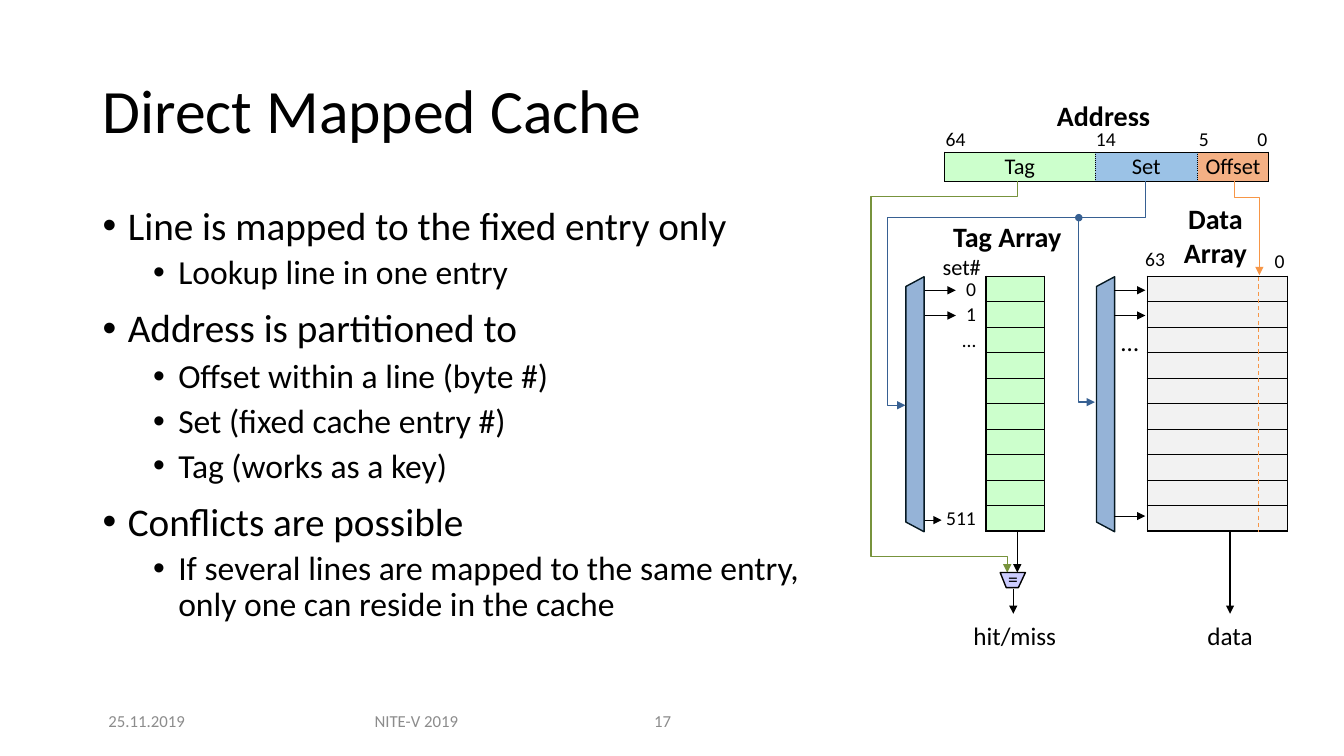
from dataclasses import dataclass
from lxml import etree
from pptx import Presentation
from pptx import util as u
from pptx.dml.color import RGBColor
from pptx.enum import dml, shapes, text
from pptx.oxml.ns import qn

FONT = "Calibri"
BLACK, WHITE, GRAY = "000000", "FFFFFF", "8C8C8C"
TAG_GREEN, SET_BLUE, OFFSET_ORANGE, DATA_GRAY = "CCFFCC", "9BC2E6", "F4B084", "F2F2F2"
TAG_WIRE, SET_WIRE, OFFSET_WIRE = "77933C", "376092", "F79646"
NO_TABLE_STYLE = "{2D5ABB26-0587-4C30-8999-92F81FD0307C}"
LEFT, CENTER, RIGHT = text.PP_ALIGN.LEFT, text.PP_ALIGN.CENTER, text.PP_ALIGN.RIGHT
TOP, MIDDLE, BOTTOM = text.MSO_ANCHOR.TOP, text.MSO_ANCHOR.MIDDLE, text.MSO_ANCHOR.BOTTOM
Point = tuple[float, float]


@dataclass
class Label:
    lines: str
    box: tuple[float, float, float, float]
    size: float
    align: text.PP_ALIGN = CENTER
    bold: bool = False
    wrap: bool = False
    color: str = BLACK
    anchor: text.MSO_ANCHOR = TOP
    spacing: float = 1.0


@dataclass
class Bullet:
    line: str
    level: int
    before: float


@dataclass
class Arrow:
    start: Point
    end: Point
    width: float = 0.75


@dataclass
class Field:
    """One part of the address: its name, table columns and colours."""
    name: str
    first: int
    last: int
    fill: str
    left: str
    right: str


@dataclass
class Decoder:
    center_x: float
    arrow_x: float
    outputs: list[tuple[float, float]]  # height of each output, length of its arrow


LABELS_BEHIND = [
    Label("Direct Mapped Cache", (0.92, 0.4, 11.5, 1.45), 44, LEFT, wrap=True, anchor=MIDDLE, spacing=0.9),
    Label("data", (11.87, 6.1, 0.66, 0.4), 18),
    Label("Address", (9.95, 0.93, 1.99, 0.44), 20, bold=True, wrap=True),
]
LABELS_FRONT = [
    Label("63", (11.26, 2.4, 0.4, 0.34), 14, LEFT),
    Label("0", (12.54, 2.42, 0.3, 0.34), 14, RIGHT),
    Label("Tag Array", (9.07, 2.13, 1.84, 0.44), 20, bold=True, wrap=True),
    Label("Data\nArray", (11.64, 1.95, 0.83, 0.77), 20, bold=True),
    Label("…", (11.02, 3.19, 0.38, 0.4), 18, LEFT),
    Label("hit/miss", (9.55, 6.11, 1.03, 0.4), 18),
    Label("=", (9.9, 5.58, 0.3, 0.34), 14, LEFT),
    Label("set#", (9.25, 2.46, 0.59, 0.37), 16, LEFT),
    Label("25.11.2019", (0.92, 6.95, 1.07, 0.4), 12, wrap=True, color=GRAY, anchor=MIDDLE),
    Label("NITE-V 2019", (3.34, 6.95, 1.58, 0.4), 12, wrap=True, color=GRAY, anchor=MIDDLE),
    Label("17", (6.39, 6.95, 0.79, 0.4), 12, LEFT, wrap=True, color=GRAY, anchor=MIDDLE),
]
BULLETS = [
    Bullet("Line is mapped to the fixed entry only", 0, 10),
    Bullet("Lookup line in one entry", 1, 5),
    Bullet("Address is partitioned to", 0, 12),
    Bullet("Offset within a line (byte #)", 1, 6),
    Bullet("Set (fixed cache entry #)", 1, 6),
    Bullet("Tag (works as a key)", 1, 6),
    Bullet("Conflicts are possible", 0, 12),
    Bullet("If several lines are mapped to the same entry,\nonly one can reside in the cache", 1, 5),
]
FIELDS = [
    Field("Tag", 0, 0, TAG_GREEN, "solid", "sysDot"),
    Field("Set", 1, 2, SET_BLUE, "sysDot", "sysDot"),
    Field("Offset", 3, 4, OFFSET_ORANGE, "sysDot", "solid"),
]
BITS = {0: "64", 1: "14", 3: "5", 4: "0"}
SET_NUMBERS = {0: "0", 1: "1", 2: "…", 9: "511"}
DECODERS = [
    Decoder(9.075, 9.17, [(2.88, 0.31), (3.13, 0.31), (5.16, 0.17)]),
    Decoder(10.965, 11.05, [(2.88, 0.31), (3.13, 0.31), (5.12, 0.31)]),
]
ARROWS = [
    Arrow((12.2, 5.27), (12.2, 6.09), 1),
    Arrow((10.05, 5.84), (10.05, 6.09)),
    Arrow((10.09, 5.27), (10.09, 5.68), 1),
]
WIRES = [
    ([(10.09, 1.8), (10.09, 1.95), (8.64, 1.95), (8.64, 5.52), (9.99, 5.52), (9.99, 5.68)], TAG_WIRE),
    ([(11.36, 1.8), (11.36, 2.16), (8.8, 2.16), (8.8, 4.02), (8.98, 4.02)], SET_WIRE),
    ([(10.7, 2.16), (10.7, 3.99), (10.86, 3.99)], SET_WIRE),
]


def rgb(color: str) -> RGBColor:
    return RGBColor.from_string(color)


def add_run(paragraph, words: str, size: float, color: str = BLACK, bold: bool = False) -> None:
    run = paragraph.add_run()
    run.text = words
    run.font.name, run.font.size, run.font.bold = FONT, u.Pt(size), bold
    run.font.color.rgb = rgb(color)


def add_label(slide, label: Label) -> None:
    frame = slide.shapes.add_textbox(*map(u.Inches, label.box)).text_frame
    frame.word_wrap, frame.vertical_anchor = label.wrap, label.anchor
    for i, line in enumerate(label.lines.split("\n")):
        paragraph = frame.add_paragraph() if i else frame.paragraphs[0]
        paragraph.alignment, paragraph.line_spacing = label.align, label.spacing
        add_run(paragraph, line, label.size, label.color, label.bold)


def add_bullets(slide) -> None:
    frame = slide.shapes.add_textbox(*map(u.Inches, (0.92, 2, 11.5, 4.52))).text_frame
    frame.word_wrap = True
    for i, bullet in enumerate(BULLETS):
        paragraph = frame.add_paragraph() if i else frame.paragraphs[0]
        paragraph.level, paragraph.line_spacing = bullet.level, 0.9
        paragraph.space_before = u.Pt(bullet.before)
        props = paragraph._p.get_or_add_pPr()
        props.set("marL", str(u.Inches(0.25 + 0.5 * bullet.level)))
        props.set("indent", str(u.Inches(-0.25)))
        etree.SubElement(props, qn("a:buFont"), typeface="Arial")
        etree.SubElement(props, qn("a:buChar"), char="•")
        for j, line in enumerate(bullet.line.split("\n")):
            if j:
                paragraph.add_line_break()
            add_run(paragraph, line, 24 if bullet.level else 28)


def style_line(shape, color: str, width: float, arrow: bool = False, dash=None) -> None:
    shape.line.color.rgb, shape.line.width = rgb(color), u.Pt(width)
    if dash:
        shape.line.dash_style = dash
    props = shape.element.spPr
    if arrow:
        etree.SubElement(props.find(qn("a:ln")), qn("a:tailEnd"), type="triangle")
    if props.find(qn("a:effectLst")) is None:
        etree.SubElement(props, qn("a:effectLst"))


def add_line(slide, start: Point, end: Point, kind=shapes.MSO_CONNECTOR.STRAIGHT):
    return slide.shapes.add_connector(kind, *map(u.Inches, (*start, *end)))


def add_arrow(slide, arrow: Arrow) -> None:
    style_line(add_line(slide, arrow.start, arrow.end), BLACK, arrow.width, arrow=True)


def add_outline(slide, points: list[Point], close: bool = False):
    corners = [(u.Inches(x), u.Inches(y)) for x, y in points]
    builder = slide.shapes.build_freeform(*corners[0])
    builder.add_line_segments(corners[1:], close=close)
    outline = builder.convert_to_shape()
    outline.shadow.inherit = False
    return outline


def add_grid(slide, left: float, top: float, widths: list[float], heights: list[float]):
    """Add a table without any style and return it."""
    box = map(u.Inches, (left, top, sum(widths), sum(heights)))
    grid = slide.shapes.add_table(len(heights), len(widths), *box).table
    grid.first_row = grid.horz_banding = False
    grid._tbl.tblPr.find(qn("a:tableStyleId")).text = NO_TABLE_STYLE
    for column, width in zip(grid.columns, widths):
        column.width = u.Inches(width)
    for row, height in zip(grid.rows, heights):
        row.height = u.Inches(height)
    return grid


def fill_cell(cell, words: str, size: float, fill: str, align=CENTER, anchor=MIDDLE,
              right: float = 0.01, borders: dict[str, tuple[float, str]] | None = None) -> None:
    cell.margin_left = cell.margin_top = u.Inches(0.01)
    cell.margin_right, cell.margin_bottom = u.Inches(right), 0
    cell.vertical_anchor = anchor
    paragraph = cell.text_frame.paragraphs[0]
    paragraph.alignment = align
    if words:
        add_run(paragraph, words, size)
    else:
        etree.SubElement(paragraph._p, qn("a:endParaRPr"), sz=str(size * 100))
    props = cell._tc.get_or_add_tcPr()
    for side, (width, dash) in (borders or {}).items():
        edge = etree.SubElement(props, qn(f"a:ln{side}"), w=str(u.Pt(width)))
        paint = etree.SubElement(edge, qn("a:solidFill"))
        etree.SubElement(paint, qn("a:srgbClr"), val=BLACK)
        etree.SubElement(edge, qn("a:prstDash"), val=dash)
    cell.fill.solid()
    cell.fill.fore_color.rgb = rgb(fill)


def add_arrays(slide) -> None:
    count = 10
    grid = add_grid(slide, 9.11, 2.74, [0.67, 0.58, 1.02, 1.39], [2.53 / count] * count)
    side = (1, "solid")
    for row in range(count):
        entry = {"L": side, "R": side, "T": (0.5 if row else 1, "solid"),
                 "B": (1 if row == count - 1 else 0.5, "solid")}
        fill_cell(grid.cell(row, 0), SET_NUMBERS.get(row, ""), 14, WHITE, RIGHT, BOTTOM, 0.1, {"R": side})
        fill_cell(grid.cell(row, 1), "", 14, TAG_GREEN, borders=entry)
        fill_cell(grid.cell(row, 2), "", 14, WHITE, borders={"L": side, "R": side})
        fill_cell(grid.cell(row, 3), "", 14, DATA_GRAY, borders=entry)


def add_address(slide) -> None:
    grid = add_grid(slide, 9.37, 1.25, [1.49, 0.51, 0.51, 0.35, 0.35], [0.26, 0.29])
    for column in range(5):
        fill_cell(grid.cell(0, column), BITS.get(column, ""), 14, WHITE, RIGHT if column == 4 else LEFT,
                  borders={"B": (1, "solid")})
    for field in FIELDS:
        cell = grid.cell(1, field.first)
        if field.last > field.first:
            cell.merge(grid.cell(1, field.last))
        edges = {"L": field.left, "R": field.right, "T": "solid", "B": "solid"}
        fill_cell(cell, field.name, 16, field.fill,
                  borders={s: (1 if d == "solid" else 0.5, d) for s, d in edges.items()})


def add_offset_wire(slide) -> None:
    elbow = add_line(slide, (11.9, 2.14), (12.83, 2.39), shapes.MSO_CONNECTOR.ELBOW)
    frame = elbow.element.spPr.find(qn("a:xfrm"))
    frame.set("rot", str(270 * 60000))
    frame.set("flipH", "1")
    bends = elbow.element.spPr.find(qn("a:prstGeom")).find(qn("a:avLst"))
    etree.SubElement(bends, qn("a:gd"), name="adj1", fmla="val 17300")
    style_line(elbow, OFFSET_WIRE, 0.75, arrow=True)
    byte_column = add_line(slide, (12.48, 2.75), (12.48, 5.28))
    style_line(byte_column, OFFSET_WIRE, 0.75, dash=dml.MSO_LINE.DASH)


def add_solid(slide, kind, box: tuple[float, float, float, float], fill: str, line: str):
    solid = slide.shapes.add_shape(kind, *map(u.Inches, box))
    solid.shadow.inherit = False
    solid.fill.solid()
    solid.fill.fore_color.rgb = rgb(fill)
    style_line(solid, line, 1)
    return solid


def add_decoder(slide, decoder: Decoder) -> None:
    length, depth = 2.53, 0.18
    box = (decoder.center_x - length / 2, 3.92, length, depth)
    body = add_solid(slide, shapes.MSO_SHAPE.TRAPEZOID, box, "95B3D7", "061922")
    body.adjustments[0], body.rotation = 0.535, 270
    for y, reach in decoder.outputs:
        add_arrow(slide, Arrow((decoder.arrow_x, y), (decoder.arrow_x + reach, y)))


def add_wires(slide) -> None:
    for points, color in WIRES:
        wire = add_outline(slide, points)
        wire.fill.background()
        style_line(wire, color, 1, arrow=True)
    add_solid(slide, shapes.MSO_SHAPE.OVAL, (10.67, 2.13, 0.06, 0.06), SET_WIRE, SET_WIRE)


def add_comparator(slide) -> None:
    comparator = add_outline(slide, [(9.92, 5.68), (10.17, 5.68), (10.1, 5.83), (9.98, 5.83)], close=True)
    comparator.fill.solid()
    comparator.fill.fore_color.rgb = rgb("CCCCFF")
    style_line(comparator, BLACK, 1)


def main() -> None:
    deck = Presentation()
    deck.slide_width, deck.slide_height = u.Inches(13.33), u.Inches(7.5)
    slide = deck.slides.add_slide(deck.slide_layouts[6])
    for label in LABELS_BEHIND:
        add_label(slide, label)
    add_bullets(slide)
    add_arrays(slide)
    add_address(slide)
    add_offset_wire(slide)
    for decoder in DECODERS:
        add_decoder(slide, decoder)
    add_wires(slide)
    add_comparator(slide)
    for arrow in ARROWS:
        add_arrow(slide, arrow)
    for label in LABELS_FRONT:
        add_label(slide, label)
    deck.save("out.pptx")


if __name__ == "__main__":
    main()
